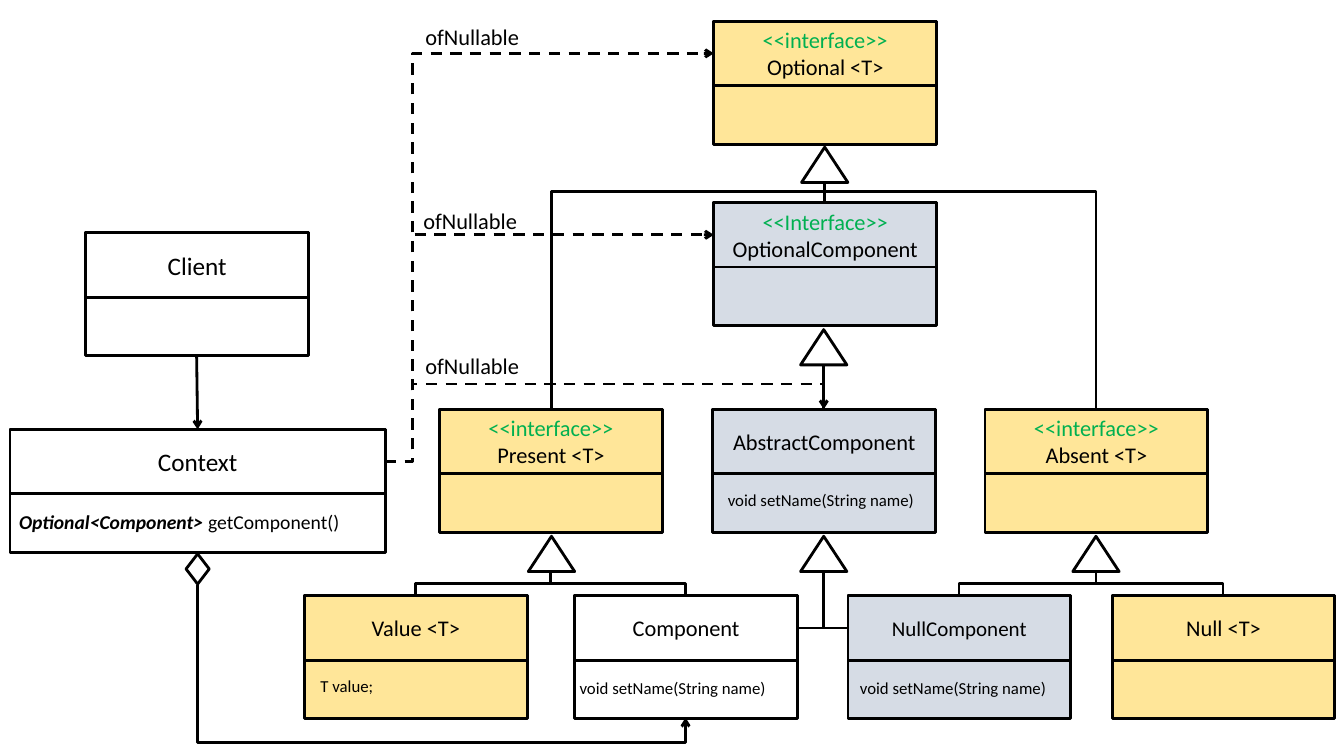
import pptx
import pptx.util
import pptx.dml.color
import pptx.enum.dml
import pptx.enum.shapes
import pptx.enum.text
import pptx.oxml.ns
from lxml import etree

Inches = pptx.util.Inches
SHAPE = pptx.enum.shapes.MSO_SHAPE
CONNECTOR = pptx.enum.shapes.MSO_CONNECTOR
ALIGN = pptx.enum.text.PP_ALIGN
qn = pptx.oxml.ns.qn

BLACK, GREEN, WHITE = "000000", "00B050", "FFFFFF"
YELLOW, GREY = "FFE699", "D6DCE5"
BOX_W, BOX_H, HEAD_H = 2.21, 1.22, 0.64
TRI_W, TRI_H = 0.46, 0.35
ROW_OPTION, ROW_COMPONENT, ROW_ABSTRACT, ROW_LEAF = 0.21, 2.01, 4.06, 5.91

CLASSES = [
    (7.08, ROW_OPTION, BOX_W, YELLOW, 16, "<<interface>>", "Optional <T>"),
    (7.08, ROW_COMPONENT, BOX_W, GREY, 16, "<<Interface>>", "OptionalComponent"),
    (4.36, ROW_ABSTRACT, BOX_W, YELLOW, 16, "<<interface>>", "Present <T>"),
    (7.07, ROW_ABSTRACT, BOX_W, GREY, 16, None, "AbstractComponent"),
    (9.77, ROW_ABSTRACT, BOX_W, YELLOW, 16, "<<interface>>", "Absent <T>"),
    (3.02, ROW_LEAF, BOX_W, YELLOW, 16, None, "Value <T>"),
    (5.7, ROW_LEAF, BOX_W, WHITE, 16, None, "Component"),
    (8.41, ROW_LEAF, BOX_W, GREY, 15, None, "NullComponent"),
    (11.03, ROW_LEAF, BOX_W, YELLOW, 16, None, "Null <T>"),
    (0.85, 2.31, BOX_W, None, 18, None, "Client"),
    (0.1, 4.26, 3.72, None, 18, None, "Context"),
]

SET_NAME = [("void setName(String name)", False)]
OF_NULLABLE = [("ofNullable", False)]
LABELS = [
    (7.12, 4.81, 2.07, 0.3, 12, SET_NAME),
    (5.65, 6.67, 2.07, 0.3, 12, SET_NAME),
    (8.43, 6.67, 2.07, 0.3, 12, SET_NAME),
    (3.08, 6.65, 0.73, 0.3, 12, [("T value;", False)]),
    (0.09, 5.01, 3.41, 0.34, 14,
     [("Optional<Component> ", True), ("getComponent()", False)]),
    (4.12, 0.18, 1.14, 0.37, 16, OF_NULLABLE),
    (4.1, 2.01, 1.14, 0.37, 16, OF_NULLABLE),
    (4.12, 3.44, 1.14, 0.37, 16, OF_NULLABLE),
]

TRIANGLES = [(8.18, 1.46), (8.17, 3.27), (5.47, 5.32), (8.17, 5.32), (10.87, 5.32)]

STRAIGHT = [
    ((8.18, 1.81), (8.18, 2.01), False),
    ((8.17, 3.62), (8.17, 4.06), False),
    ((1.95, 3.52), (1.96, 4.26), True),
]
INHERITANCE = [
    ((8.18, 1.81), 1.9, [(5.47, 4.06), (10.87, 4.06)]),
    ((5.46, 5.67), 5.79, [(4.12, 5.91), (6.8, 5.91)]),
    ((8.17, 5.67), None, [(7.91, 6.23), (8.41, 6.23)]),
    ((10.87, 5.67), 5.79, [(9.51, 5.91), (12.13, 5.91)]),
]
CONTEXT_EXIT, TRUNK_X = (3.82, 4.58), 4.09
OF_NULLABLE_LINKS = [
    ((7.08, 0.53), [TRUNK_X]),
    ((7.08, 2.33), [TRUNK_X]),
    ((8.17, 4.06), [TRUNK_X, 3.81]),
]


def color(value):
    return pptx.dml.color.RGBColor.from_string(value)


def apply(target, values):
    for name, value in values.items():
        setattr(target, name, value)


def outline(item):
    item.line.width = pptx.util.Pt(2)
    item.line.color.rgb = color(BLACK)


def add_box(shapes, kind, x, y, w, h, fill=None):
    sp = shapes.add_shape(kind, *map(Inches, (x, y, w, h)))
    sp.shadow.inherit = False
    if fill:
        sp.fill.solid()
        sp.fill.fore_color.rgb = color(fill)
    else:
        sp.fill.background()
    outline(sp)
    return sp


def add_run(p, text, size, ink=BLACK, strong=False):
    r = p.add_run()
    r.text = text
    apply(r.font, {"name": "Calibri", "size": pptx.util.Pt(size),
                   "bold": strong, "italic": strong})
    r.font.color.rgb = color(ink)


def add_class(x, y, w, fill, size, stereotype, name):
    group = s.shapes.add_group_shape().shapes
    add_box(group, SHAPE.RECTANGLE, x, y, w, BOX_H, fill)
    tf = add_box(group, SHAPE.RECTANGLE, x, y, w, HEAD_H, fill).text_frame
    apply(tf, {"word_wrap": True, "vertical_anchor": pptx.enum.text.MSO_ANCHOR.MIDDLE})
    p = tf.paragraphs[0]
    p.alignment = ALIGN.CENTER
    if stereotype:
        add_run(p, stereotype, size, GREEN)
        p = tf.add_paragraph()
        p.alignment = ALIGN.CENTER
    add_run(p, name, size)


def add_label(x, y, w, h, size, runs):
    tf = s.shapes.add_textbox(*map(Inches, (x, y, w, h))).text_frame
    apply(tf, {"word_wrap": False,
               "auto_size": pptx.enum.text.MSO_AUTO_SIZE.SHAPE_TO_FIT_TEXT})
    for text, strong in runs:
        add_run(tf.paragraphs[0], text, size, strong=strong)


def add_line(kind, start, end, arrow=False, dashed=False):
    line = s.shapes.add_connector(kind, *map(Inches, (*start, *end)))
    outline(line)
    if dashed:
        line.line.dash_style = pptx.enum.dml.MSO_LINE.DASH
    props = line._element.spPr
    if arrow:
        etree.SubElement(props.find(qn("a:ln")), qn("a:tailEnd"), type="arrow")
    etree.SubElement(props, qn("a:effectLst"))
    return props


def add_elbow(start, end, bends, vertical=False, arrow=False, dashed=False):
    (x1, y1), (x2, y2) = start, end
    first, last = start, end
    if vertical:
        cx, cy = (x1 + x2) / 2, (y1 + y2) / 2
        half_w, half_h = abs(y2 - y1) / 2, abs(x2 - x1) / 2
        first, last = (cx - half_w, cy - half_h), (cx + half_w, cy + half_h)
    props = add_line(CONNECTOR.ELBOW, first, last, arrow, dashed)
    if vertical:
        frame = props.find(qn("a:xfrm"))
        frame.set("rot", str((270 if x2 > x1 else 90) * 60000))
        if x2 > x1:
            frame.set("flipH", "1")
    geometry = props.find(qn("a:prstGeom"))
    geometry.set("prst", f"bentConnector{len(bends) + 2}")
    guides = geometry.find(qn("a:avLst"))
    for i, bend in enumerate(bends):
        axis = (i + vertical) % 2
        ratio = (bend - start[axis]) / (end[axis] - start[axis])
        etree.SubElement(guides, qn("a:gd"), name=f"adj{i + 1}",
                         fmla=f"val {round(ratio * 100000)}")


prs = pptx.Presentation()
apply(prs, {"slide_width": Inches(13.33), "slide_height": Inches(7.5)})
s = prs.slides.add_slide(prs.slide_layouts[6])

for item in CLASSES:
    add_class(*item)
for center, top in TRIANGLES:
    add_box(s.shapes, SHAPE.ISOSCELES_TRIANGLE, center - TRI_W / 2, top, TRI_W, TRI_H)
for start, end, arrow in STRAIGHT:
    add_line(CONNECTOR.STRAIGHT, start, end, arrow)
for parent, bend, children in INHERITANCE:
    for child in children:
        add_elbow(parent, child, [bend] if bend else [], vertical=True)
for target, bends in OF_NULLABLE_LINKS:
    add_elbow(CONTEXT_EXIT, target, bends, arrow=True, dashed=True)
add_elbow((1.96, 5.8), (6.8, 7.12), [7.37], vertical=True, arrow=True)
add_box(s.shapes, SHAPE.DIAMOND, 1.81, 5.53, 0.3, 0.23, WHITE).rotation = 90
for item in LABELS:
    add_label(*item)

prs.save("out.pptx")
